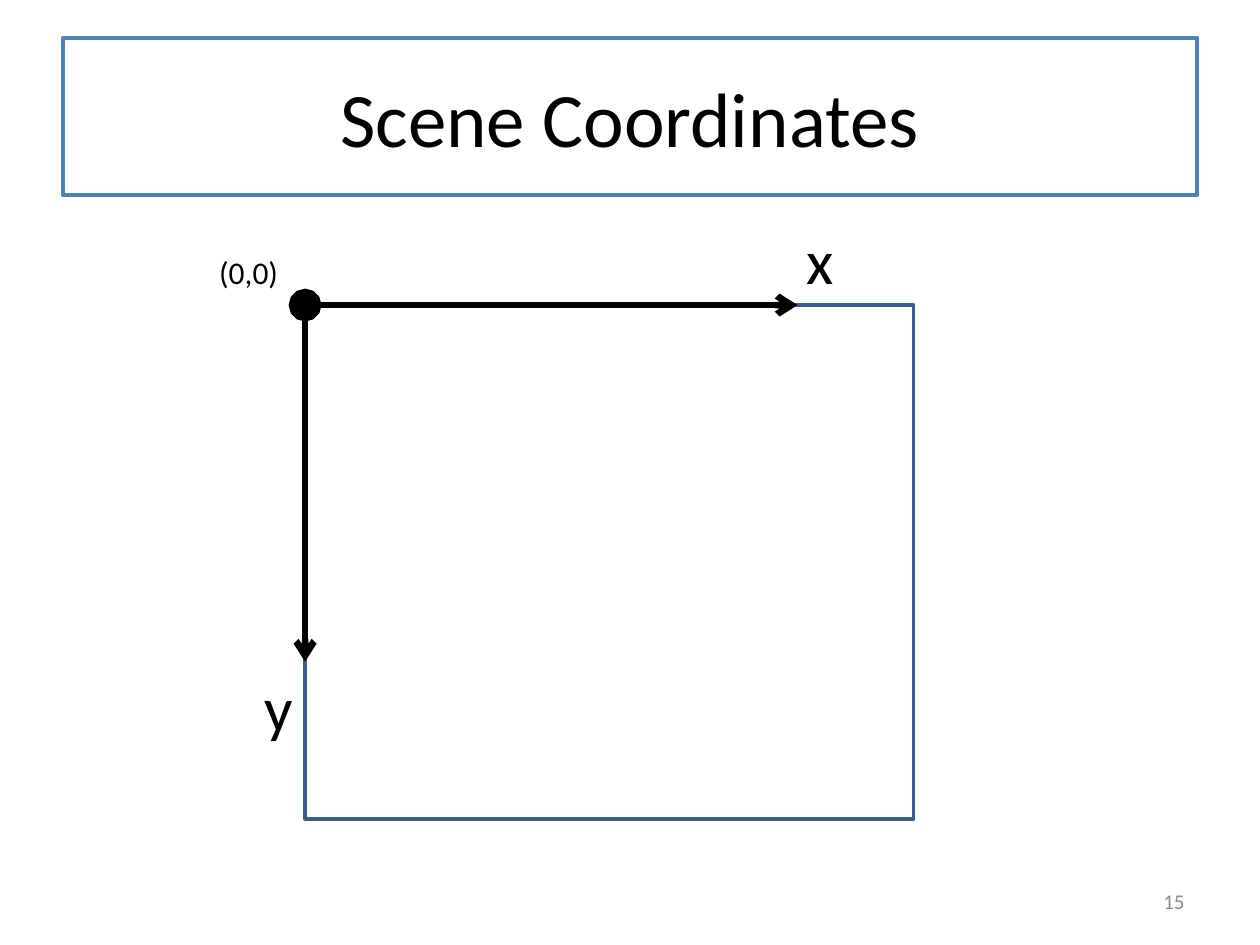
from dataclasses import dataclass

import pptx
import pptx.dml.color
import pptx.enum.shapes
import pptx.enum.text
import pptx.oxml.ns
import pptx.util
from lxml import etree
from pptx.util import Cm

COLORS = {
    "paper": "FFFFFF",
    "ink": "000000",
    "title_border": "4F81BD",
    "scene_border": "3A5F8C",
    "page_number": "8C8C8C",
}
FONT = "Calibri"
ALIGN = pptx.enum.text.PP_ALIGN
ANCHOR = pptx.enum.text.MSO_ANCHOR

# Scene geometry in centimetres
ORIGIN_X, ORIGIN_Y = 6.15, 6.15
SCENE_WIDTH, SCENE_HEIGHT = 12.27, 10.36


@dataclass
class Label:
    text: str
    left: float
    top: float
    width: float
    height: float
    size: int
    color: str = "ink"
    align: ALIGN = ALIGN.LEFT
    anchor: ANCHOR = ANCHOR.TOP
    wrap: bool = False


@dataclass
class Axis:
    end_x: float
    end_y: float


LABELS = [
    Label("(0,0)", 4.17, 4.98, 1.73, 1.02, 18),
    Label("x", 16, 4.34, 1.07, 1.8, 36),
    Label("y", 5.08, 13.36, 1.09, 1.8, 36),
    Label("15", 18.2, 17.65, 5.93, 1.02, 12, "page_number",
          ALIGN.RIGHT, ANCHOR.MIDDLE, True),
]
AXES = [Axis(16.08, ORIGIN_Y), Axis(ORIGIN_X, 13.34)]


def rgb(name: str) -> pptx.dml.color.RGBColor:
    return pptx.dml.color.RGBColor.from_string(COLORS[name])


def style_box(shape, border: str, width: float) -> None:
    shape.fill.solid()
    shape.fill.fore_color.rgb = rgb("paper")
    shape.line.color.rgb = rgb(border)
    shape.line.width = pptx.util.Pt(width)


def style_text(paragraph, size: int, color: str, align: ALIGN) -> None:
    paragraph.alignment = align
    paragraph.font.name = FONT
    paragraph.font.size = pptx.util.Pt(size)
    paragraph.font.color.rgb = rgb(color)


def add_title(slide, text: str) -> None:
    title = slide.shapes.title
    title.left, title.top = Cm(1.27), Cm(0.76)
    title.width, title.height = Cm(22.86), Cm(3.18)
    style_box(title, "title_border", 2.25)
    title.text_frame.text = text
    title.text_frame.vertical_anchor = ANCHOR.MIDDLE
    style_text(title.text_frame.paragraphs[0], 44, "ink", ALIGN.CENTER)


def add_scene(slide) -> None:
    scene = slide.shapes.add_shape(
        pptx.enum.shapes.MSO_SHAPE.RECTANGLE,
        Cm(ORIGIN_X), Cm(ORIGIN_Y), Cm(SCENE_WIDTH), Cm(SCENE_HEIGHT))
    scene.shadow.inherit = False
    style_box(scene, "scene_border", 2)


def add_axis(slide, axis: Axis) -> None:
    connector = slide.shapes.add_connector(
        pptx.enum.shapes.MSO_CONNECTOR.STRAIGHT,
        Cm(ORIGIN_X), Cm(ORIGIN_Y), Cm(axis.end_x), Cm(axis.end_y))
    connector.line.color.rgb = rgb("ink")
    connector.line.width = pptx.util.Pt(3.75)
    # Large dot at the origin, open arrow at the far end
    qn = pptx.oxml.ns.qn
    line = connector.line._get_or_add_ln()
    etree.SubElement(line, qn("a:headEnd"), type="oval", w="lg", len="lg")
    etree.SubElement(line, qn("a:tailEnd"), type="arrow")
    etree.SubElement(connector._element.spPr, qn("a:effectLst"))


def add_label(slide, label: Label) -> None:
    box = slide.shapes.add_textbox(
        Cm(label.left), Cm(label.top), Cm(label.width), Cm(label.height))
    frame = box.text_frame
    frame.text = label.text
    frame.word_wrap = label.wrap
    frame.vertical_anchor = label.anchor
    if not label.wrap:
        frame.auto_size = pptx.enum.text.MSO_AUTO_SIZE.SHAPE_TO_FIT_TEXT
    style_text(frame.paragraphs[0], label.size, label.color, label.align)


def main() -> None:
    presentation = pptx.Presentation()
    presentation.slide_width, presentation.slide_height = Cm(25.4), Cm(19.05)
    slide = presentation.slides.add_slide(presentation.slide_layouts[5])

    # Title and scene rectangle
    add_title(slide, "Scene Coordinates")
    add_scene(slide)

    # Axes and their labels
    for axis in AXES:
        add_axis(slide, axis)
    for label in LABELS:
        add_label(slide, label)

    presentation.save("out.pptx")


if __name__ == "__main__":
    main()
